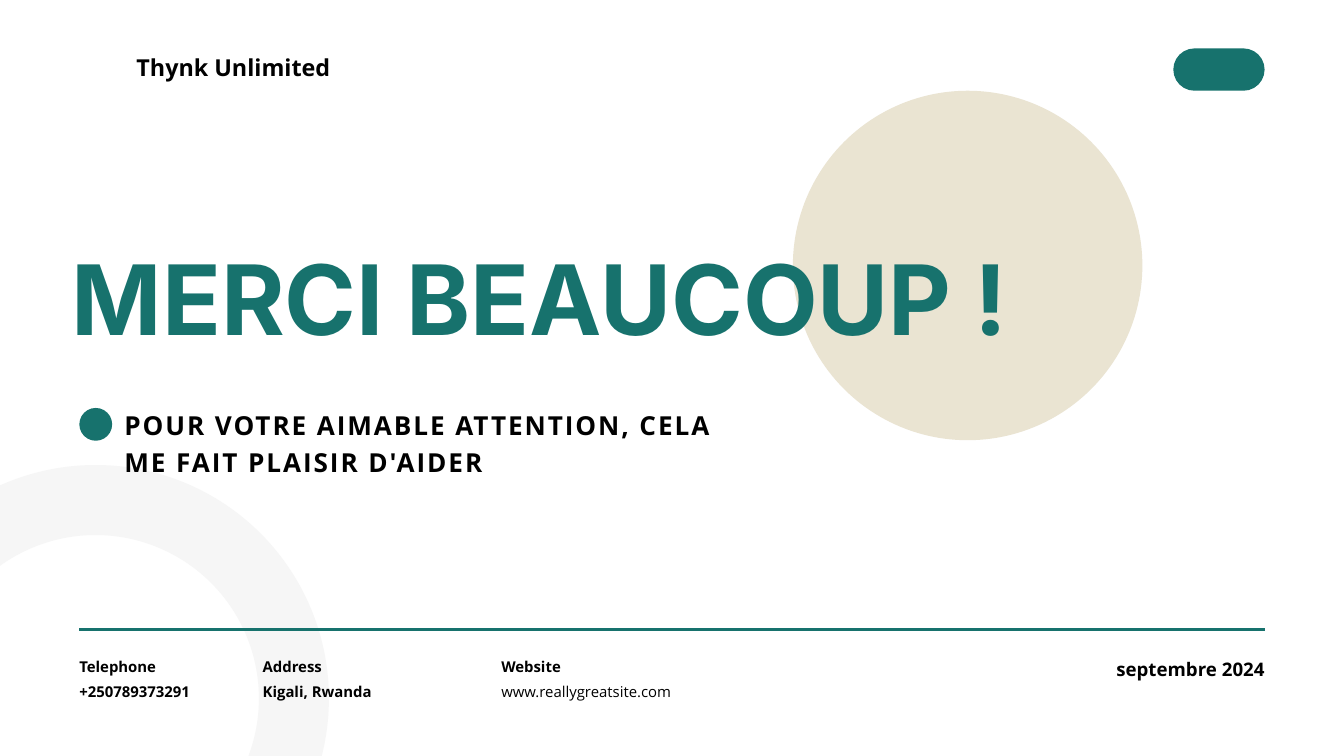
from lxml.etree import SubElement
from pptx import Presentation
from pptx.dml.color import RGBColor
from pptx.enum.shapes import MSO_CONNECTOR, MSO_SHAPE
from pptx.enum.text import PP_ALIGN
from pptx.oxml.ns import qn
from pptx.util import Cm, Pt

TEAL, SAND, MIST, BLACK = "17726D", "EAE4D2", "F6F6F6", "000000"
MARGIN, CONTENT_WIDTH = 3, 44.8


def color(hex_code):
    return RGBColor.from_string(hex_code)


def add_filled(slide, preset, left, top, width, height, fill):
    shape = slide.shapes.add_shape(preset, Cm(left), Cm(top), Cm(width), Cm(height))
    shape.shadow.inherit = False
    shape.line.fill.background()
    shape.fill.solid()
    shape.fill.fore_color.rgb = color(fill)
    return shape


def add_ring(slide, left, top, diameter, thickness):
    ring = slide.shapes.add_shape(
        MSO_SHAPE.OVAL, Cm(left), Cm(top), Cm(diameter), Cm(diameter))
    ring.shadow.inherit = False
    ring.fill.background()
    ring.line.color.rgb = color(MIST)
    ring.line.width = Pt(thickness)


def add_text(slide, left, top, width, height, text, size, spacing, font="Open Sans",
             fill=BLACK, bold=True, align=PP_ALIGN.LEFT, tracking=0):
    """Sizes, line spacing and tracking are in points."""
    box = slide.shapes.add_textbox(Cm(left), Cm(top), Cm(width), Cm(height))
    frame = box.text_frame
    frame.margin_left = frame.margin_right = frame.margin_top = frame.margin_bottom = 0
    frame.word_wrap = True
    paragraph = frame.paragraphs[0]
    paragraph.alignment = align
    paragraph.line_spacing = Pt(spacing)
    run = paragraph.add_run()
    run.text = text
    paragraph.font.name = font
    paragraph.font.size = Pt(size)
    paragraph.font.bold = bold
    paragraph.font.color.rgb = color(fill)
    if tracking:
        run._r.get_or_add_rPr().set("spc", str(round(tracking * 100)))


def add_header(slide, left, top, width):
    add_text(slide, left + 2.16, top, 8.86, 1.17, "Thynk Unlimited", 25, 35)
    pill_width = 3.45
    pill = add_filled(slide, MSO_SHAPE.ROUNDED_RECTANGLE, left + width - pill_width,
                      top, pill_width, 1.6, TEAL)
    pill.adjustments[0] = 0.5


def add_message(slide, left, top):
    add_text(slide, left - 0.28, top, 35.66, 4.95, "MERCI BEAUCOUP !", 104, 145.6,
             font="Inter", fill=TEAL)
    add_filled(slide, MSO_SHAPE.OVAL, left, top + 7.14, 1.24, 1.24, TEAL)
    add_text(slide, left + 1.7, top + 7.01, 22.4, 2.72,
             "POUR VOTRE AIMABLE ATTENTION, CELA ME FAIT PLAISIR D'AIDER",
             28, 39.2, tracking=2.1)


def add_footer(slide, left, top, width):
    rule = slide.shapes.add_connector(
        MSO_CONNECTOR.STRAIGHT, Cm(left), Cm(top), Cm(left + width), Cm(top))
    rule.line.color.rgb = color(TEAL)
    rule.line.width = Pt(3)
    SubElement(rule._element.spPr, qn("a:effectLst"))

    contacts = [
        (0, 5.6, "Telephone", "+250789373291", True),
        (6.93, 7.57, "Address", "Kigali, Rwanda", True),
        (15.95, 7.98, "Website", "www.reallygreatsite.com", False),
    ]
    for offset, column_width, label, value, value_bold in contacts:
        for drop, text, bold in ((0.86, label, True), (1.8, value, value_bold)):
            add_text(slide, left + offset, top + drop, column_width, 0.81, text,
                     16, 24.8, bold=bold, align=PP_ALIGN.JUSTIFY)

    date_width = 7.97
    add_text(slide, left + width - date_width, top + 0.81, date_width, 1.02,
             "septembre 2024", 20, 31, align=PP_ALIGN.RIGHT)


def main():
    presentation = Presentation()
    presentation.slide_width, presentation.slide_height = Cm(50.8), Cm(28.575)
    slide = presentation.slides.add_slide(presentation.slide_layouts[6])
    add_ring(slide, -3.89, 18.9, 15, 75)
    add_filled(slide, MSO_SHAPE.OVAL, 29.97, 3.43, 13.21, 13.21, SAND)
    add_header(slide, MARGIN, 1.83, CONTENT_WIDTH)
    add_message(slide, MARGIN, 8.28)
    add_footer(slide, MARGIN, 23.8, CONTENT_WIDTH)
    presentation.save("out.pptx")


if __name__ == "__main__":
    main()
